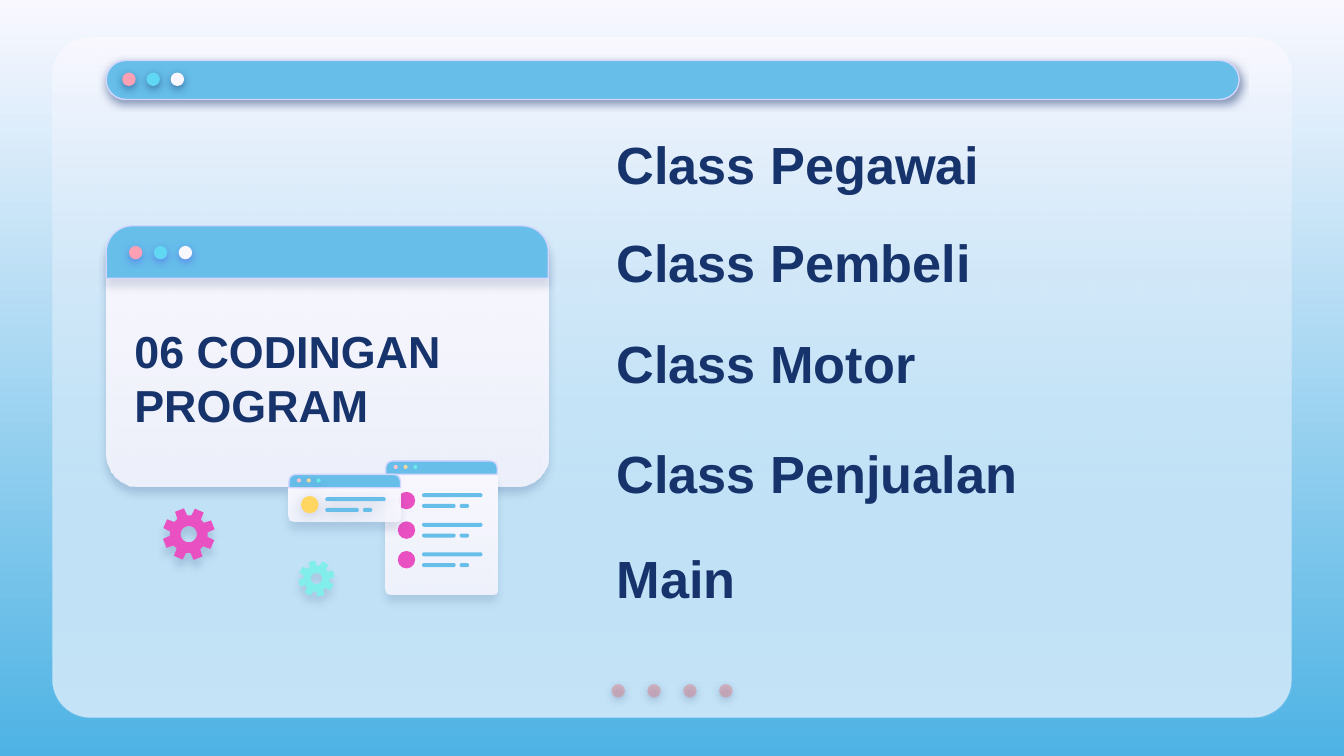
import math
from dataclasses import dataclass
from lxml import etree
from pptx import Presentation, util as u
from pptx.dml.color import RGBColor
from pptx.enum import shapes, text
from pptx.oxml import ns

KIND = shapes.MSO_SHAPE


@dataclass(frozen=True)
class Theme:
    pale: str = "F9F8FF"
    sky: str = "66BEE9"
    deep: str = "4EB3E4"
    navy: str = "17336B"
    edge: str = "D2D6FF"
    glow: str = "5352EE"
    rose: str = "E27B83"
    pink: str = "E951C2"
    mint: str = "81EEEB"
    gold: str = "FFD65F"
    lights: tuple = ("FDA0B4", "60D8F4", "F9F8FF")
    specks: tuple = ("FFC3D0", "F5D79B", "6AEBE7")
    font: str = "Arial"
    head: int = 24
    item: int = 28


T = Theme()
GLASS = ((T.pale, 100), (T.pale, 86))
DARK = (T.navy, 50, 4.5, 1.5)


def fade(fill, stops):
    fill.gradient()
    fill.gradient_angle = 270
    for stop, (tone, _) in zip(fill.gradient_stops, stops):
        stop.color.rgb = RGBColor.from_string(tone)


def veil(clr, rate):
    if rate < 100:
        etree.SubElement(clr, ns.qn("a:alpha"), val=str(rate * 1000))


def style(shape, paint, shade=None, edge=None):
    stops = ((paint, 100),) if isinstance(paint, str) else paint
    if len(stops) > 1:
        fade(shape.fill, stops)
    else:
        shape.fill.solid()
        shape.fill.fore_color.rgb = RGBColor.from_string(stops[0][0])
    props = shape.element.spPr
    for clr, (_, rate) in zip(list(props.iter(ns.qn("a:srgbClr"))), stops):
        veil(clr, rate)
    if edge:
        shape.line.color.rgb = RGBColor.from_string(edge)
        shape.line.width = u.Pt(0.75)
    else:
        shape.line.fill.background()
    shape.shadow.inherit = False
    if shade:
        tone, rate, blur, dist = shade
        drop = etree.SubElement(
            props.find(ns.qn("a:effectLst")), ns.qn("a:outerShdw"),
            blurRad=str(u.Pt(blur)), dist=str(u.Pt(dist)),
            dir="5400000", algn="bl", rotWithShape="0")
        veil(etree.SubElement(drop, ns.qn("a:srgbClr"), val=tone), rate)


def draw(slide, kind, box, paint, adj=(), **look):
    shape = slide.shapes.add_shape(kind, *map(u.Inches, box))
    for i, rate in enumerate(adj):
        shape.adjustments[i] = rate
    style(shape, paint, **look)


def dots(slide, x, y, size, step, tones, shade=None):
    for i, tone in enumerate(tones):
        draw(slide, KIND.OVAL, (x + i * step, y, size, size), tone, shade=shade)


def write(shape, box, lines, size):
    shape.left, shape.top, shape.width, shape.height = map(u.Inches, box)
    frame = shape.text_frame
    frame.word_wrap = True
    frame.auto_size = text.MSO_AUTO_SIZE.NONE
    frame.vertical_anchor = text.MSO_ANCHOR.MIDDLE
    frame.margin_left = frame.margin_right = u.Inches(0.1)
    frame.margin_top = frame.margin_bottom = u.Inches(0.1)
    for i, line in enumerate(lines):
        para = frame.add_paragraph() if i else frame.paragraphs[0]
        para.alignment = text.PP_ALIGN.LEFT
        run = para.add_run()
        run.text = line
        run.font.name, run.font.size, run.font.bold = T.font, u.Pt(size), True
        run.font.color.rgb = RGBColor.from_string(T.navy)


def panel(slide, box):
    x, y, w, h = box
    for paint in (T.pale, ((T.pale, 100), (T.sky, 34))):
        draw(slide, KIND.ROUNDED_RECTANGLE, box, paint, (0.056,))
    dots(slide, x + 4.16, y + 4.81, 0.1, 0.267, [((T.rose, 44),)] * 4, DARK)
    draw(slide, KIND.ROUNDED_RECTANGLE, (x + 0.4, y + 0.17, w - 0.79, 0.29),
         T.sky, (0.5,), shade=DARK, edge=T.edge)
    dots(slide, x + 0.52, y + 0.26, 0.1, 0.18, T.lights, DARK)


def card(slide, box, lines):
    x, y, w, h = box
    draw(slide, KIND.ROUNDED_RECTANGLE, box, GLASS, (0.124,),
         shade=(T.navy, 22, 4.5, 3.8))
    draw(slide, KIND.ROUND_2_SAME_RECTANGLE, (x, y, w, 0.39), T.sky, (0.5, 0),
         shade=(T.navy, 15, 4.5, 3.8), edge=T.edge)
    dots(slide, x + 0.17, y + 0.15, 0.1, 0.185, T.lights, (T.glow, 50, 4.5, 1.5))
    title = slide.shapes.title
    slide.shapes.element.append(title.element)
    write(title, (x + 0.11, y + 0.55, 3.1, 1.16), lines, T.head)


def window(slide, box, top, rows, tone, speck=None, mark=None):
    x, y, w, h = box
    bar = 0.1
    draw(slide, KIND.ROUND_2_SAME_RECTANGLE, (x, y + bar, w, h - bar), GLASS,
         (0, 0.05 / min(w, h - bar)), shade=(T.navy, 15, 4.5, 4.5))
    draw(slide, KIND.ROUND_2_SAME_RECTANGLE, (x, y, w, bar), T.sky, (0.5, 0),
         edge=T.edge)
    dots(slide, x + 0.06, y + 0.03, 0.03, 0.073, T.specks, speck)
    for i in range(rows):
        line = y + top + i * 0.22
        dots(slide, x + 0.09, line, 0.13, 0, [tone], mark)
        for left, down, wide in ((0.27, 0.01, 0.45), (0.27, 0.09, 0.25),
                                 (0.55, 0.09, 0.07)):
            draw(slide, KIND.ROUNDED_RECTANGLE,
                 (x + left, line + down, wide, 0.03), T.sky, (0.5,), shade=mark)


def gear(slide, box, turn, tone, shade):
    x, y, w, h = box
    rim = w / 2

    def spot(deg, rate):
        ang = math.radians(deg)
        return (u.Inches(x + rim + rim * rate * math.cos(ang)),
                u.Inches(y + rim + rim * rate * math.sin(ang)))

    teeth = [spot(turn + 45 * i + deg, rate) for i in range(8)
             for deg, rate in ((-16, 0.72), (-10.5, 1), (10.5, 1), (16, 0.72))]
    hole = [spot(-deg, 0.31) for deg in range(0, 360, 10)]
    path = slide.shapes.build_freeform(*teeth[0], scale=1.0)
    path.add_line_segments(teeth[1:], close=True)
    path.move_to(*hole[0])
    path.add_line_segments(hole[1:], close=True)
    style(path.convert_to_shape(), tone, shade)


def items(slide, box, rows):
    x, y, w, h = box
    for down, line in rows:
        area = (x, y + down, w, h)
        write(slide.shapes.add_textbox(0, 0, 0, 0), area, [line], T.item)


def main():
    deck = Presentation()
    deck.slide_width, deck.slide_height = u.Inches(10), u.Inches(10 * 9 / 16)
    slide = deck.slides.add_slide(deck.slide_layouts[5])
    fade(slide.background.fill, ((T.pale, 100), (T.deep, 100)))
    panel(slide, (0.39, 0.28, 9.22, 5.06))
    card(slide, (0.79, 1.68, 3.29, 1.94), ["06 CODINGAN", "PROGRAM"])
    window(slide, (2.87, 3.43, 0.83, 0.99), 0.23, 3, T.pink)
    window(slide, (2.15, 3.53, 0.83, 0.35), 0.16, 1, T.gold,
           (T.navy, 17, 4.5, 2.2), (T.navy, 18, 6.8, 1.5))
    gear(slide, (1.21, 3.78, 0.39, 0.39), 24, T.pink, (T.navy, 16, 4.5, 4.5))
    gear(slide, (2.22, 4.17, 0.27, 0.27), 30, T.mint, (T.navy, 15, 4.5, 3.8))
    items(slide, (4.49, 0.75, 4.67, 0.94), (
        (0, "Class Pegawai"), (0.73, "Class Pembeli"), (1.48, "Class Motor"),
        (2.3, "Class Penjualan"), (3.08, "Main")))
    deck.save("out.pptx")


if __name__ == "__main__":
    main()
